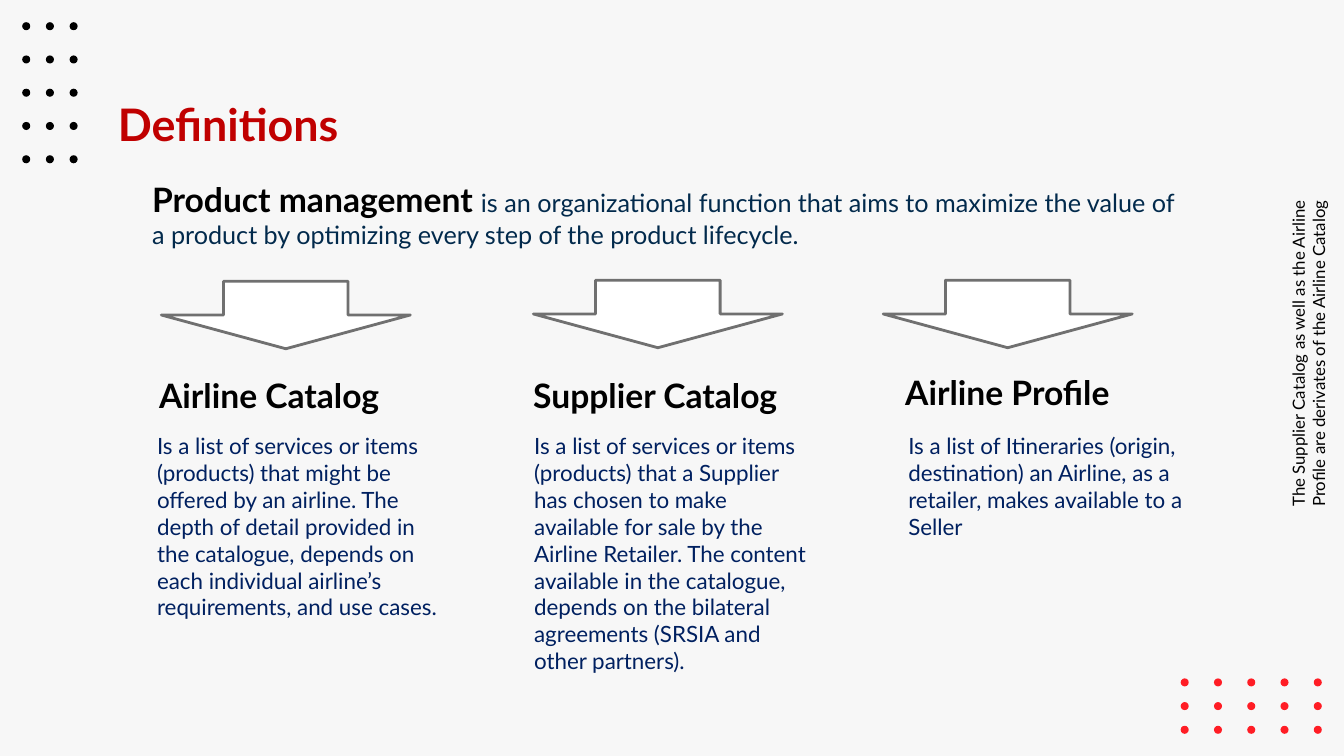
from pptx import Presentation
from pptx.dml.color import RGBColor
from pptx.enum.shapes import MSO_SHAPE
from pptx.enum.text import MSO_ANCHOR
from pptx.util import Inches, Pt

BACKGROUND = RGBColor(0xF7, 0xF7, 0xF7)
BLACK = RGBColor(0x00, 0x00, 0x00)
WHITE = RGBColor(0xFF, 0xFF, 0xFF)
GRAY = RGBColor(0x70, 0x70, 0x70)
RED = RGBColor(0xFF, 0x1D, 0x25)
DARK_RED = RGBColor(0xC0, 0x00, 0x00)
NAVY = RGBColor(0x00, 0x20, 0x60)
DEEP_BLUE = RGBColor(0x02, 0x2A, 0x4C)

FORMATS = {
    "title": {"size": Pt(32), "bold": True, "color": DARK_RED},
    "heading": {"size": Pt(24), "bold": True, "color": BLACK},
    "lead": {"size": Pt(18), "bold": False, "color": DEEP_BLUE},
    "body": {"size": Pt(16), "bold": False, "color": NAVY},
    "side": {"size": Pt(12), "bold": False, "color": BLACK},
}

DEFINITIONS = [
    {
        "heading": "Airline Catalog",
        "heading_at": (1.31, 3.5),
        "body": "Is a list of services or items (products) that might be offered by an airline. "
                "The depth of detail provided in the catalogue, depends on each individual "
                "airline’s requirements, and use cases.",
        "body_left": 1.31,
        "indent": 0.15,
        "arrow_at": (1.6, 2.79),
    },
    {
        "heading": "Supplier Catalog",
        "heading_at": (5.02, 3.5),
        "body": "Is a list of services or items (products) that a Supplier has chosen to make "
                "available for sale by the Airline Retailer. The content available in the "
                "catalogue, depends on the bilateral agreements (SRSIA and other partners).",
        "body_left": 5.03,
        "indent": 0.17,
        "arrow_at": (5.29, 2.78),
    },
    {
        "heading": "Airline Profile",
        "heading_at": (8.71, 3.47),
        "body": "Is a list of Itineraries (origin, destination) an Airline, as a retailer, "
                "makes available to a Seller",
        "body_left": 8.74,
        "indent": 0.17,
        "arrow_at": (8.76, 2.78),
    },
]


class SlidePainter:
    """Draws text, arrows and dot grids on one slide in a shared style."""

    def __init__(self, page, font_name):
        self.page = page
        self.font_name = font_name
        page.background.fill.solid()
        page.background.fill.fore_color.rgb = BACKGROUND

    def text(self, left, top, width, height, spans, indent=0, inset=0.1,
             anchor=MSO_ANCHOR.TOP, rotation=0):
        box = self.page.shapes.add_textbox(
            Inches(left), Inches(top), Inches(width), Inches(height))
        box.rotation = rotation
        frame = box.text_frame
        settings = {
            "word_wrap": True,
            "vertical_anchor": anchor,
            "margin_left": Inches(0.1),
            "margin_right": Inches(0.1),
            "margin_top": Inches(inset),
            "margin_bottom": Inches(inset),
        }
        for name, value in settings.items():
            setattr(frame, name, value)
        para = frame.paragraphs[0]
        para._p.get_or_add_pPr().set("marL", str(Inches(indent)))
        for words, style in spans:
            span = para.add_run()
            span.text = words
            span.font.name = self.font_name
            for name, value in FORMATS[style].items():
                if name == "color":
                    span.font.color.rgb = value
                else:
                    setattr(span.font, name, value)

    def shape(self, kind, left, top, width, height, fill):
        shape = self.page.shapes.add_shape(
            kind, Inches(left), Inches(top), Inches(width), Inches(height))
        shape.shadow.inherit = False
        shape.fill.solid()
        shape.fill.fore_color.rgb = fill
        shape.line.fill.background()
        return shape

    def arrow(self, left, top):
        arrow = self.shape(MSO_SHAPE.DOWN_ARROW, left, top, 2.47, 0.67, WHITE)
        arrow.line.color.rgb = GRAY
        arrow.line.width = Pt(2)

    def dots(self, left, top, columns, rows, step_across, step_down, color):
        for row in range(rows):
            for column in range(columns):
                self.shape(MSO_SHAPE.OVAL, left + column * step_across,
                           top + row * step_down, 0.08, 0.08, color)


def main():
    deck = Presentation()
    deck.slide_width = Inches(13.33)
    deck.slide_height = Inches(7.5)
    painter = SlidePainter(deck.slides.add_slide(deck.slide_layouts[6]), "Lato")

    narrow, wide = 0.235, 0.33
    painter.dots(0.22, 0.22, 3, 5, narrow, wide, BLACK)
    painter.dots(11.71, 6.73, 5, 3, wide, narrow, RED)

    painter.text(1.07, 0.86, 11.23, 0.84, [("Definitions", "title")])
    painter.text(1.19, 1.73, 10.73, 0.81, [
        ("Product management ", "heading"),
        ("is an organizational function that aims to maximize the value of a product "
         "by optimizing every step of the product lifecycle.", "lead"),
    ], indent=0.22, inset=0.05)

    for item in DEFINITIONS:
        painter.arrow(*item["arrow_at"])
        painter.text(*item["heading_at"], 3.17, 0.72, [(item["heading"], "heading")],
                     indent=0.17, anchor=MSO_ANCHOR.BOTTOM)
        painter.text(item["body_left"], 4.19, 3.17, 2.8, [(item["body"], "body")],
                     indent=item["indent"])

    painter.text(11.2, 3.23, 3.54, 0.59, [
        ("The Supplier Catalog as well as the Airline Profile are derivates "
         "of the Airline Catalog", "side"),
    ], indent=0.17, rotation=270)

    deck.save("out.pptx")


if __name__ == "__main__":
    main()
